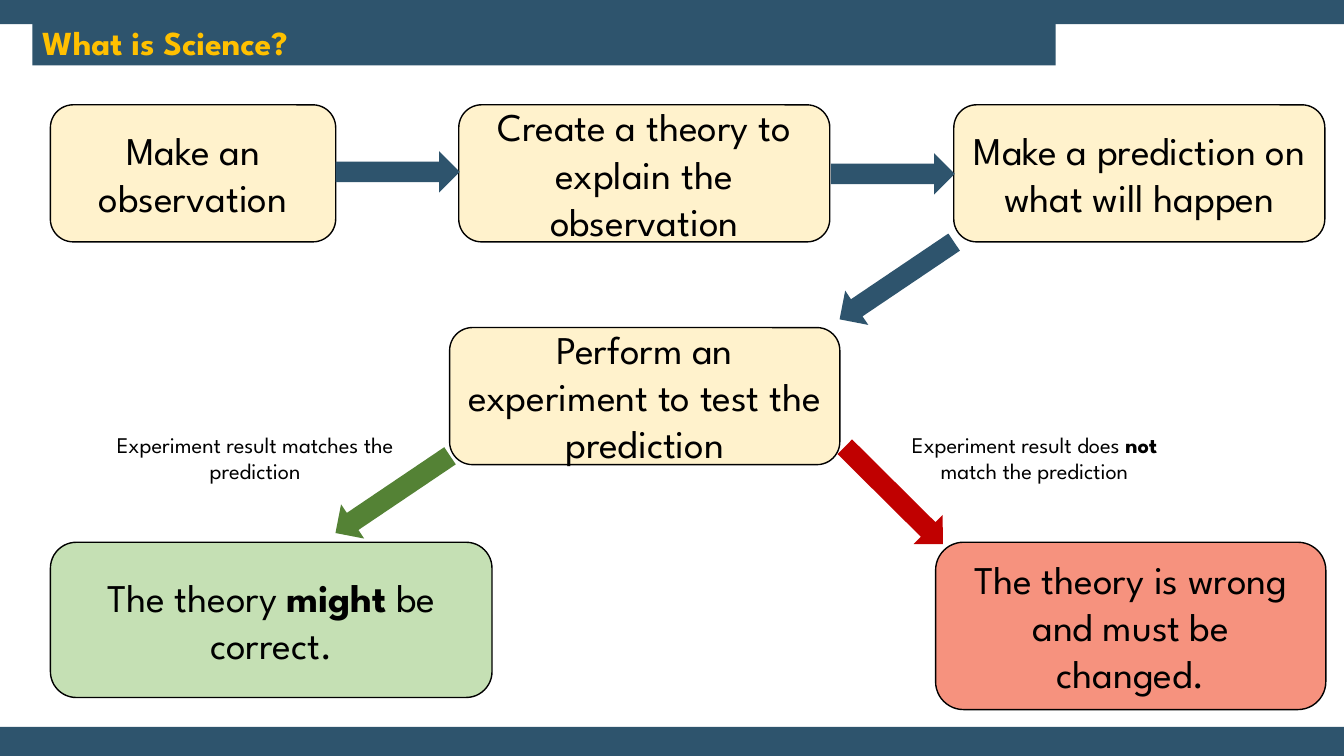
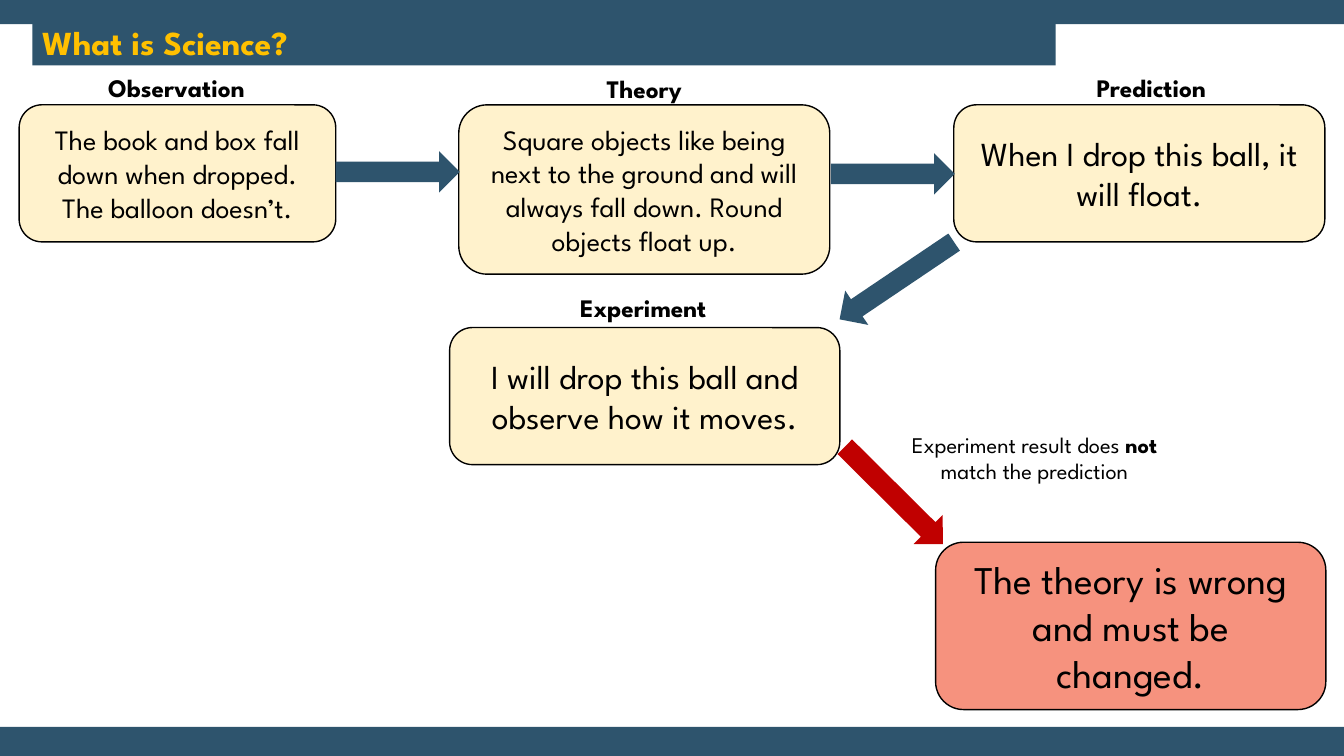
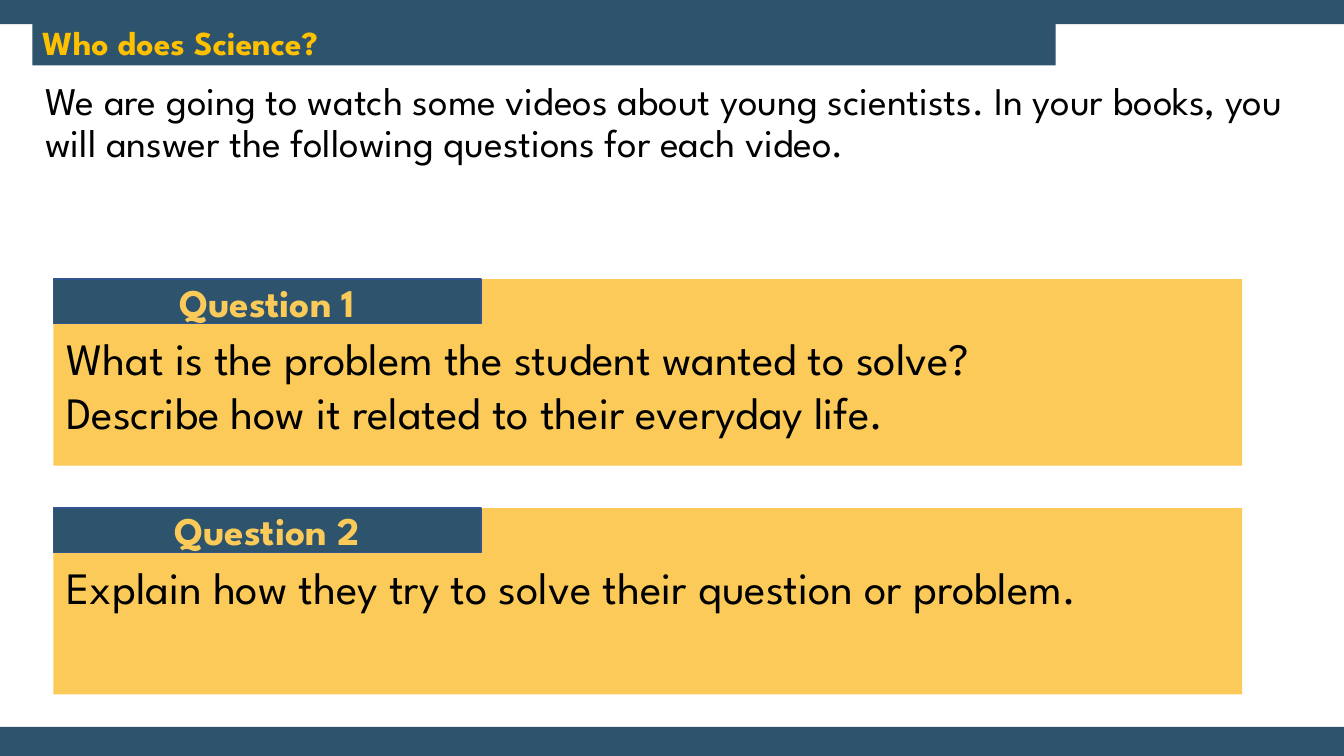
from pptx import Presentation
from pptx.dml.color import RGBColor
from pptx.enum.shapes import MSO_SHAPE
from pptx.enum.text import MSO_ANCHOR, PP_ALIGN
from pptx.util import Inches, Pt

RECT = MSO_SHAPE.RECTANGLE
ROUND = MSO_SHAPE.ROUNDED_RECTANGLE
ARROW = MSO_SHAPE.RIGHT_ARROW
TOP, MIDDLE = MSO_ANCHOR.TOP, MSO_ANCHOR.MIDDLE
LEFT, CENTER = PP_ALIGN.LEFT, PP_ALIGN.CENTER

NAVY = RGBColor(0x2E, 0x54, 0x6D)
EDGE = RGBColor(0x32, 0x54, 0x91)
GOLD = RGBColor(0xFF, 0xC0, 0x00)
AMBER = RGBColor(0xFB, 0xCA, 0x58)
CREAM = RGBColor(0xFF, 0xF2, 0xCC)
MINT = RGBColor(0xC5, 0xE0, 0xB4)
CORAL = RGBColor(0xF6, 0x92, 0x7E)
GREEN = RGBColor(0x54, 0x82, 0x35)
RED = RGBColor(0xC0, 0x00, 0x00)
BLACK = RGBColor(0, 0, 0)
FONT = "League Spartan"
WIDE, HIGH = 13.33, 7.5


def write(shape, text, size=28, color=BLACK, bold=False, align=CENTER,
          anchor=MIDDLE, spacing=None, inset=None):
    frame = shape.text_frame
    frame.word_wrap = True
    frame.vertical_anchor = anchor
    if inset is not None:
        frame.margin_left = frame.margin_right = Inches(inset)
        frame.margin_top = frame.margin_bottom = Inches(inset)
    for row, line in enumerate(text.split("\n")):
        para = frame.add_paragraph() if row else frame.paragraphs[0]
        para.alignment = align
        if spacing:
            para.line_spacing = spacing
        for part, words in enumerate(line.split("*")):
            run = para.add_run()
            run.text = words
            run.font.name = FONT
            run.font.size = Pt(size)
            run.font.bold = bold or part % 2 == 1
            run.font.color.rgb = color


def draw(slide, kind, area, fill=None, line=None):
    shape = slide.shapes.add_shape(kind, *map(Inches, area))
    shape.shadow.inherit = False
    if fill is None:
        shape.fill.background()
    else:
        shape.fill.solid()
        shape.fill.fore_color.rgb = fill
    if line is None:
        shape.line.fill.background()
    else:
        shape.line.color.rgb = line
        shape.line.width = Pt(1)
    return shape


def card(slide, text, area, fill=CREAM, size=28):
    write(draw(slide, ROUND, area, fill, BLACK), text, size=size)


def label(slide, text, area, size=16, bold=False):
    write(draw(slide, ROUND, area), text, size=size, bold=bold)


def arrow(slide, left, top, width=1.37, turn=0, fill=NAVY):
    draw(slide, ARROW, (left, top, width, 0.41), fill).rotation = turn


def prose(slide, text, area, **style):
    box = slide.shapes.add_textbox(*map(Inches, area))
    write(box, text, align=LEFT, anchor=TOP, **style)


def page(deck, title):
    slide = deck.slides.add_slide(deck.slide_layouts[6])
    draw(slide, RECT, (0, 0, WIDE, 0.24), NAVY)
    draw(slide, RECT, (0, 7.21, WIDE, HIGH - 7.21), NAVY)
    head = draw(slide, RECT, (0.32, 0.24, 10.15, 0.41), NAVY)
    write(head, title, size=24, color=GOLD, bold=True, align=LEFT, spacing=0.9)
    return slide


def flow(deck, steps):
    slide = page(deck, "What is Science?")
    for text, area, size in steps:
        card(slide, text, area, size=size)
    arrow(slide, 3.33, 1.5, width=1.23)
    arrow(slide, 8.24, 1.52, width=1.23)
    arrow(slide, 8.21, 2.58, turn=146)
    card(slide, "The theory is wrong and must be changed.",
         (9.28, 5.38, 3.87, 1.66), CORAL)
    arrow(slide, 8.18, 4.71, turn=44.8, fill=RED)
    label(slide, "Experiment result does *not* match the prediction",
          (8.6, 3.86, 3.32, 1.36))
    return slide


def method(deck):
    slide = flow(deck, [
        ("Make an observation", (0.5, 1.04, 2.83, 1.36), 28),
        ("Create a theory to explain the observation",
         (4.55, 1.04, 3.68, 1.36), 28),
        ("Make a prediction on what will happen",
         (9.46, 1.04, 3.68, 1.36), 28),
        ("Perform an experiment to test the prediction",
         (4.46, 3.25, 3.87, 1.36), 28),
    ])
    card(slide, "The theory *might* be correct.", (0.5, 5.38, 4.38, 1.54), MINT)
    arrow(slide, 3.21, 4.7, turn=146, fill=GREEN)
    label(slide, "Experiment result matches the prediction",
          (0.87, 3.86, 3.32, 1.36))


def example(deck):
    slide = flow(deck, [
        ("The book and box fall down when dropped. The balloon doesn’t.",
         (0.19, 1.04, 3.14, 1.36), 20),
        ("Square objects like being next to the ground and will always "
         "fall down. Round objects float up.", (4.55, 1.04, 3.68, 1.68), 20),
        ("When I drop this ball, it will float.",
         (9.46, 1.04, 3.68, 1.36), 24),
        ("I will drop this ball and observe how it moves.",
         (4.46, 3.25, 3.87, 1.36), 24),
    ])
    for text, left, top in [("Observation", 0.84, 0.62),
                            ("Theory", 5.48, 0.63),
                            ("Prediction", 10.51, 0.62),
                            ("Experiment", 5.47, 2.81)]:
        label(slide, text, (left, top, 1.82, 0.49), size=18, bold=True)


def task(deck):
    slide = page(deck, "Who does Science?")
    prose(slide, "We are going to watch some videos about young scientists. "
          "In your books, you will answer the following questions for each "
          "video.", (0.32, 0.68, 12.54, 1.3), spacing=0.9, inset=0.13)
    asks = ["What is the problem the student wanted to solve?\n"
            "Describe how it related to their everyday life.",
            "Explain how they try to solve their question or problem."]
    for index, text in enumerate(asks):
        top = 2.77 + 2.27 * index
        draw(slide, RECT, (0.53, top, 11.79, 1.85), AMBER)
        tab = draw(slide, RECT, (0.53, top, 4.24, 0.44), NAVY, EDGE)
        write(tab, f"Question {index + 1}", color=AMBER, bold=True)
        prose(slide, text, (0.56, top + 0.46, 11.79, 1.4), size=32)


def main():
    deck = Presentation()
    deck.slide_width = Inches(WIDE)
    deck.slide_height = Inches(HIGH)
    method(deck)
    example(deck)
    task(deck)
    deck.save("out.pptx")


if __name__ == "__main__":
    main()
